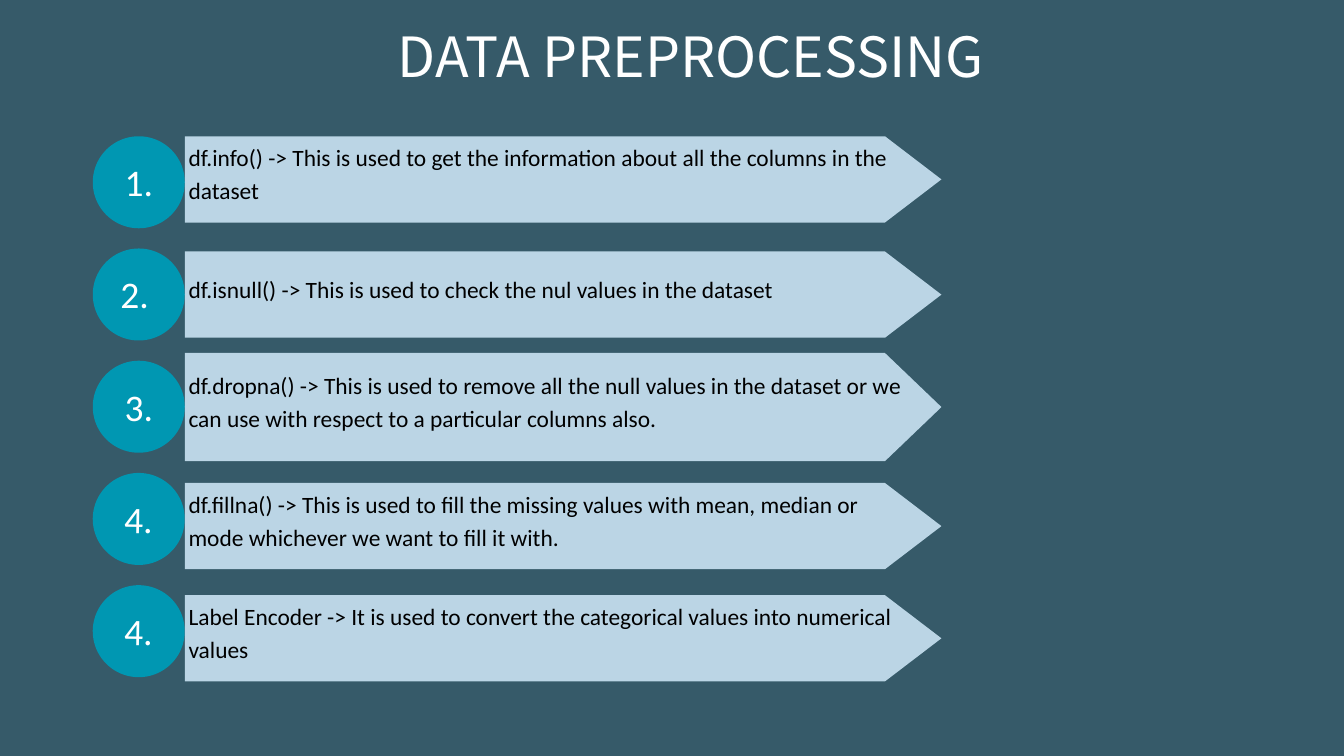
import pptx
import pptx.util
import pptx.dml.color
import pptx.enum.shapes
import pptx.enum.text

Pt = pptx.util.Pt
SHAPE = pptx.enum.shapes.MSO_SHAPE
ALIGN = pptx.enum.text.PP_ALIGN
ANCHOR = pptx.enum.text.MSO_ANCHOR

COLORS = {
    "background": "365A69",
    "circle": "0097B2",
    "arrow": "BBD5E5",
    "light": "FFFFFF",
    "dark": "000000",
}

STEPS = [
    ("1.", 0, 146, 92.4,
     "df.info() -> This is used to get the information about all the columns in the dataset"),
    ("2. ", 0, 269.5, 92.4,
     "df.isnull() -> This is used to check the nul values in the dataset"),
    ("3.", 0, 378.2, 115.9,
     "df.dropna() -> This is used to remove all the null values in the dataset or we "
     "can use with respect to a particular columns also."),
    ("4.", 1, 517.5, 92.4,
     "df.fillna() -> This is used to fill the missing values with mean, median or "
     "mode whichever we want to fill it with."),
    ("4.", 1, 637.7, 92.4,
     "Label Encoder -> It is used to convert the categorical values into numerical values"),
]

CIRCLE_LEFT, CIRCLE_TOP, CIRCLE_SIZE, CIRCLE_PITCH = 99.4, 146, 98.6, 120.25
ARROW_LEFT, ARROW_WIDTH, ARROW_TIP = 198, 810.7, 60.5
TEXT_RISE = 17


def rgb(name):
    return pptx.dml.color.RGBColor.from_string(COLORS[name])


def add_filled(slide, kind, left, top, width, height, color):
    sp = slide.shapes.add_shape(kind, Pt(left), Pt(top), Pt(width), Pt(height))
    sp.shadow.inherit = False
    sp.fill.solid()
    sp.fill.fore_color.rgb = rgb(color)
    sp.line.fill.background()
    return sp


def add_text(slide, text, left, top, width, height, size, spacing, color,
             align=ALIGN.LEFT, anchor=ANCHOR.MIDDLE, inset=4, font="Calibri"):
    sp = slide.shapes.add_textbox(Pt(left), Pt(top), Pt(width), Pt(height))
    tf = sp.text_frame
    tf.word_wrap = True
    tf.vertical_anchor = anchor
    tf.margin_left = tf.margin_right = tf.margin_top = tf.margin_bottom = Pt(inset)
    p = tf.paragraphs[0]
    p.alignment = align
    p.line_spacing = Pt(spacing)
    r = p.add_run()
    r.text = text
    r.font.size = Pt(size)
    r.font.name = font
    r.font.color.rgb = rgb(color)
    return sp


def add_number(slide, number, top, rotation):
    circle = add_filled(slide, SHAPE.OVAL, CIRCLE_LEFT, top,
                        CIRCLE_SIZE, CIRCLE_SIZE, "circle")
    label = add_text(slide, number, CIRCLE_LEFT + 9.3, top, 80, 89.3,
                     40.2, 56.3, "light", align=ALIGN.CENTER)
    circle.rotation = label.rotation = rotation


def add_arrow(slide, text, top, height):
    arrow = add_filled(slide, SHAPE.PENTAGON, ARROW_LEFT, top,
                       ARROW_WIDTH, height, "arrow")
    arrow.adjustments[0] = ARROW_TIP / height
    add_text(slide, text, ARROW_LEFT, top - TEXT_RISE, 776.9, height + TEXT_RISE,
             25.1, 35.2, "dark")


def main():
    prs = pptx.Presentation()
    prs.slide_width, prs.slide_height = Pt(1440), Pt(810)
    slide = prs.slides.add_slide(prs.slide_layouts[6])
    slide.background.fill.solid()
    slide.background.fill.fore_color.rgb = rgb("background")

    add_text(slide, "DATA PREPROCESSING", 319, 20.2, 842.4, 74.2, 59.3, 74.7, "light",
             align=ALIGN.CENTER, anchor=ANCHOR.TOP, inset=0, font="Noto Sans CJK KR")
    for i, (number, rotation, top, height, text) in enumerate(STEPS):
        add_number(slide, number, CIRCLE_TOP + i * CIRCLE_PITCH, rotation)
        add_arrow(slide, text, top, height)

    prs.save("out.pptx")


if __name__ == "__main__":
    main()
